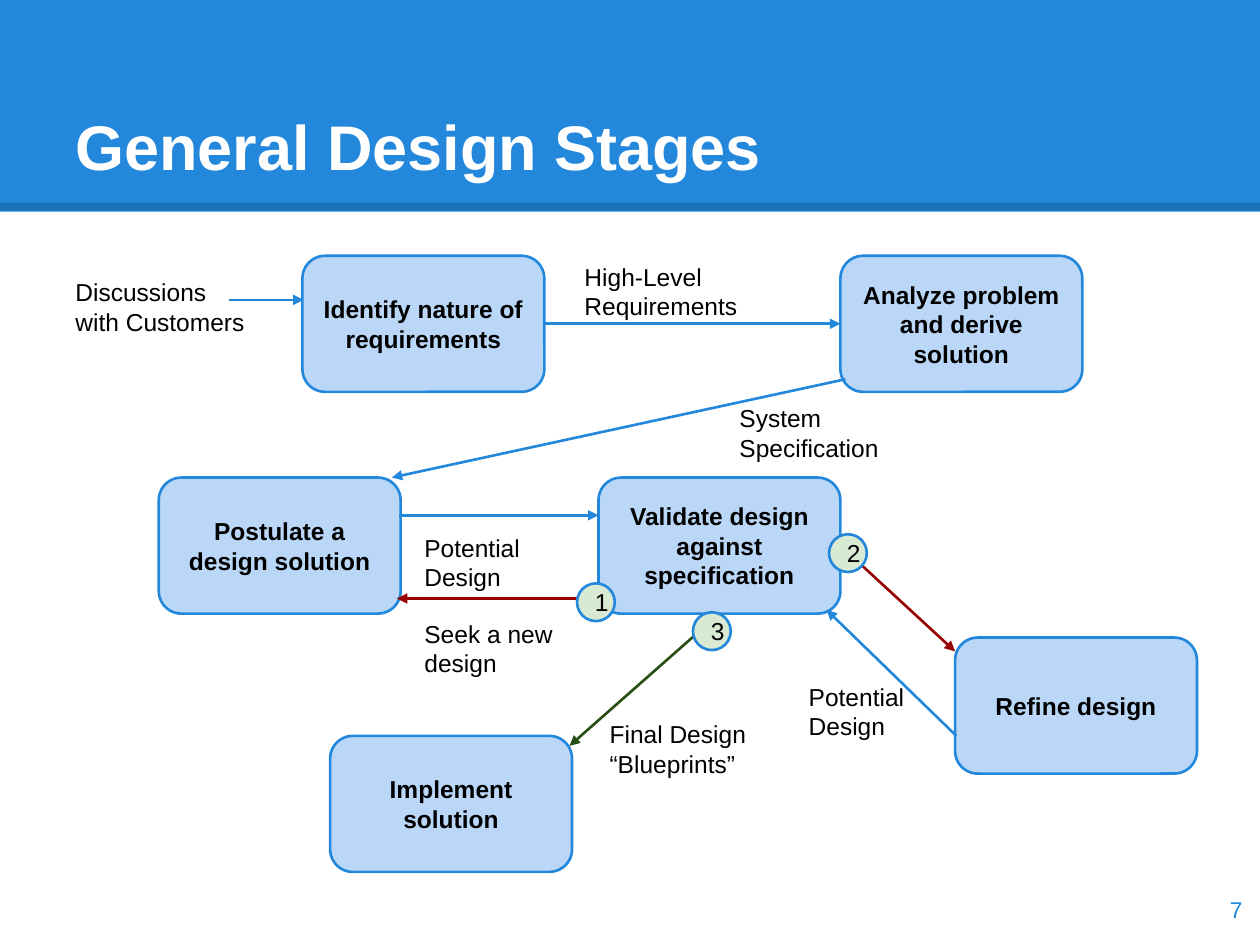
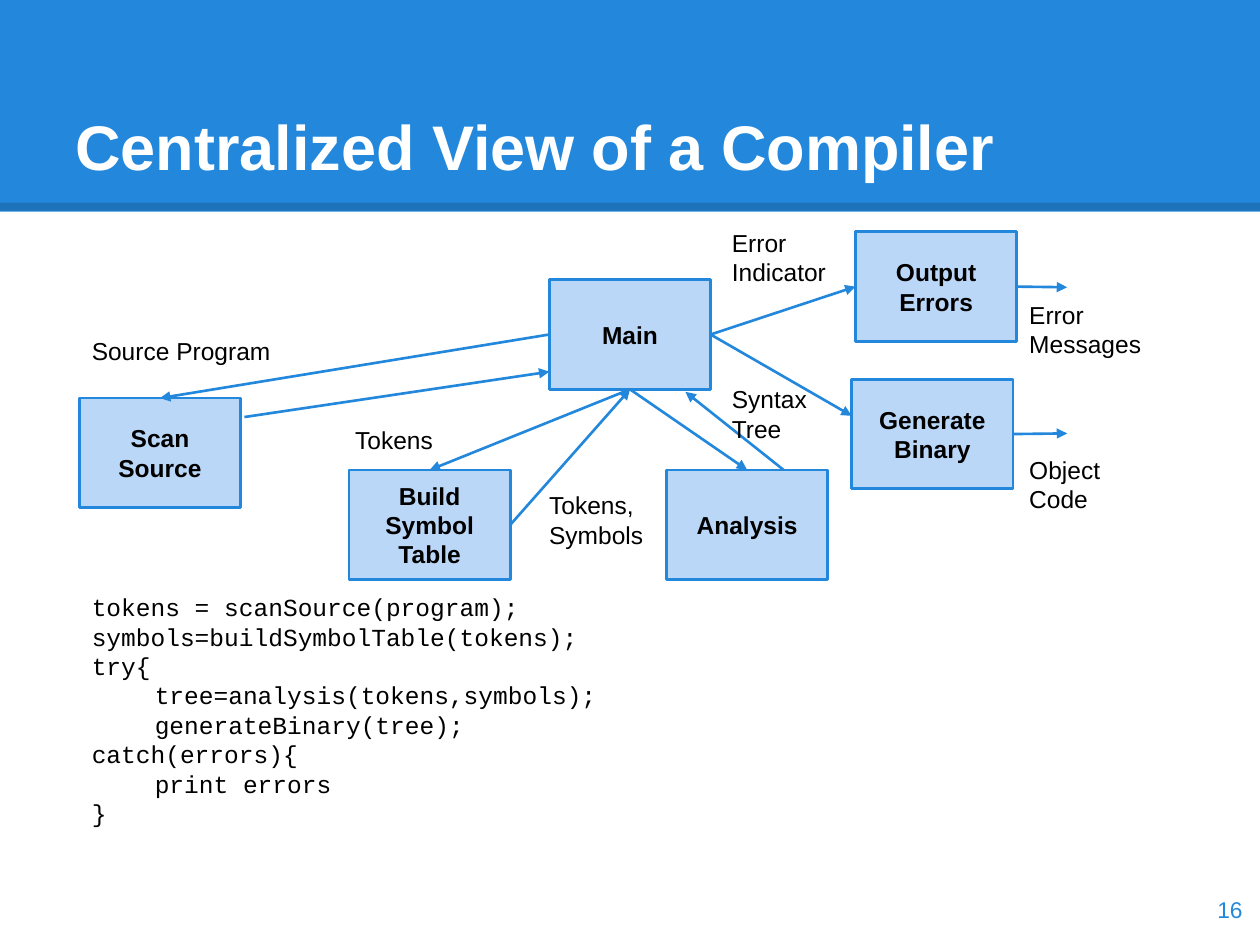
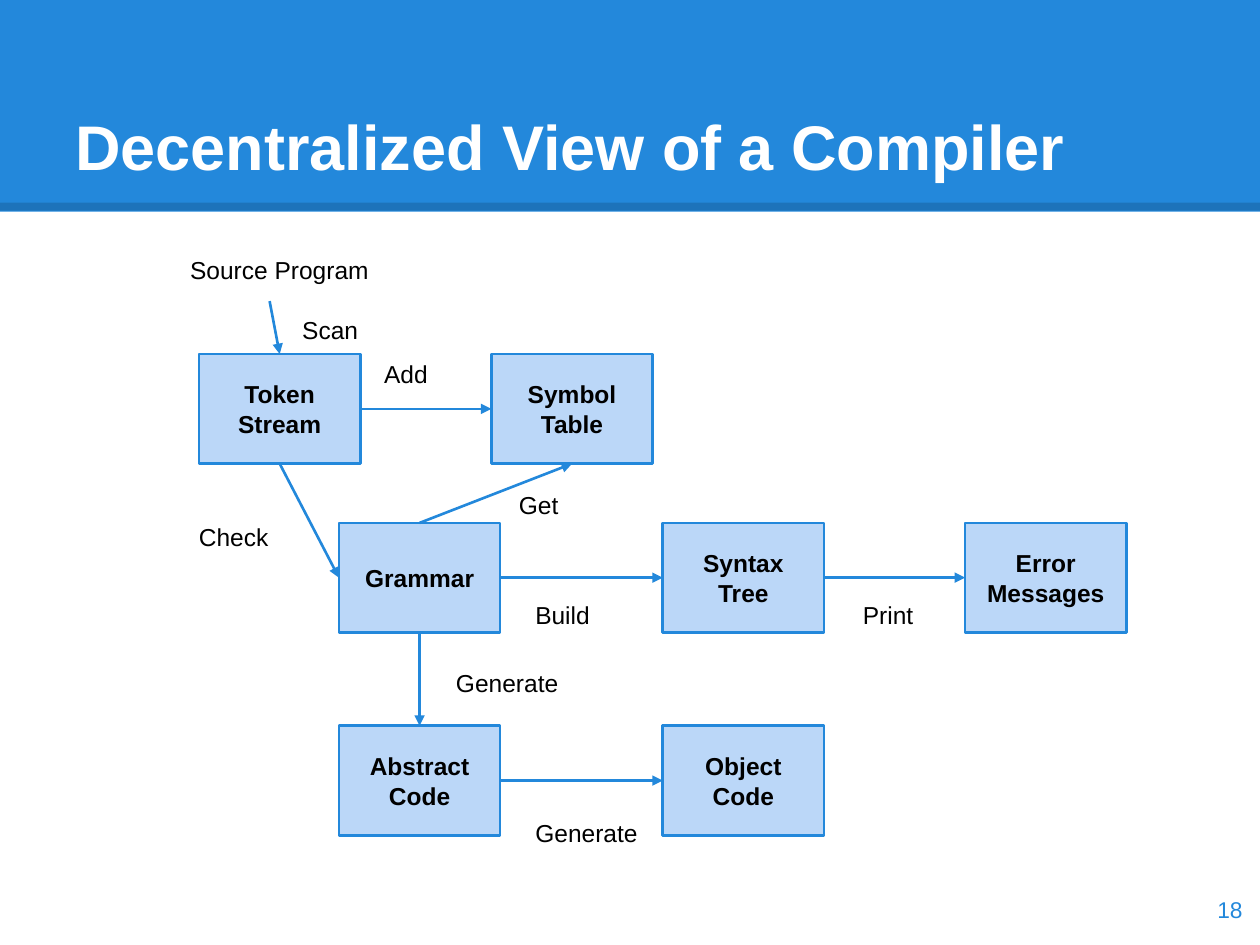
"""Build three slides of software design flow diagrams."""
from lxml import etree
from pptx import Presentation
from pptx.dml.color import RGBColor
from pptx.enum.shapes import MSO_CONNECTOR, MSO_SHAPE
from pptx.enum.text import MSO_ANCHOR, PP_ALIGN
from pptx.oxml.ns import qn
from pptx.util import Inches, Pt

RECT, ROUNDED, OVAL = MSO_SHAPE.RECTANGLE, MSO_SHAPE.ROUNDED_RECTANGLE, MSO_SHAPE.OVAL
STRAIGHT = MSO_CONNECTOR.STRAIGHT
TOP_ANCHOR, MIDDLE, BOTTOM_ANCHOR = MSO_ANCHOR.TOP, MSO_ANCHOR.MIDDLE, MSO_ANCHOR.BOTTOM
LEFT_ALIGN, CENTER, RIGHT_ALIGN = PP_ALIGN.LEFT, PP_ALIGN.CENTER, PP_ALIGN.RIGHT
TOP, LEFT, BOTTOM, RIGHT = range(4)
BLUE, PALE_BLUE, PALE_GREEN = "2388DB", "BBD7F8", "D9EAD3"
RED, GREEN, BLACK, WHITE = "980000", "274E13", "000000", "FFFFFF"


def write(text, shape, size=14, font="Arial", color=BLACK, bold=False,
          align=LEFT_ALIGN, anchor=TOP_ANCHOR):
    """Fill a shape with formatted text, one paragraph per line."""
    frame = shape.text_frame
    frame.word_wrap = True
    frame.vertical_anchor = anchor
    frame.margin_left = frame.margin_right = Inches(0.1)
    frame.margin_top = frame.margin_bottom = Inches(0.1)
    for number, line in enumerate(text.split("\n")):
        paragraph = frame.add_paragraph() if number else frame.paragraphs[0]
        paragraph.alignment = align
        run = paragraph.add_run()
        run.text = line
        run.font.name = font
        run.font.size = Pt(size)
        run.font.bold = bold
        run.font.color.rgb = RGBColor.from_string(color)


def add_filled(slide, preset, place, fill, outline=None):
    """Add a flat filled shape, with a thin outline if one is given."""
    shape = slide.shapes.add_shape(preset, *map(Inches, place))
    shape.shadow.inherit = False
    shape.fill.solid()
    shape.fill.fore_color.rgb = RGBColor.from_string(fill)
    if outline:
        shape.line.color.rgb = RGBColor.from_string(outline)
        shape.line.width = Pt(1.5)
    else:
        shape.line.fill.background()
    return shape


design_stages = {
    "title": "General Design Stages", "page": "7",
    "preset": ROUNDED, "size": (1.92, 1.08),
    "boxes": {
        "Identify nature of requirements": (2.4, 2.03),
        "Analyze problem and derive solution": (6.67, 2.03),
        "Postulate a design solution": (1.26, 3.79),
        "Validate design against specification": (4.75, 3.79),
        "Refine design": (7.58, 5.06),
        "Implement solution": (2.62, 5.84),
    },
    "arrows": [
        ((1.82, 2.38), (2.41, 2.38), BLUE),
        (("Identify nature of requirements", RIGHT),
         ("Analyze problem and derive solution", LEFT), BLUE),
        ((6.71, 3.01), (3.11, 3.79), BLUE),
        ((3.17, 4.09), (4.75, 4.09), BLUE),
        ((4.78, 4.75), (3.15, 4.75), RED),
        (("Validate design against specification", RIGHT), (7.58, 5.17), RED),
        ((7.59, 5.84), (6.56, 4.84), BLUE),
        (("Validate design against specification", BOTTOM), (4.52, 5.92), GREEN),
    ],
    "labels": [
        ("Discussions\nwith Customers", 0.5, 2.1, 1.55, 0.7),
        ("High-Level Requirements", 4.54, 1.98, 1.92, 0.4),
        ("System Specification", 5.77, 3.1, 1.92, 0.4),
        ("Potential Design", 3.27, 4.13, 1.37, 0.4),
        ("Seek a new design", 3.27, 4.81, 1.37, 0.4),
        ("Potential Design", 6.32, 5.31, 1.37, 0.4),
        ("Final Design “Blueprints”", 4.74, 5.61, 1.37, 0.4),
    ],
    "outcomes": {"1": (4.58, 4.63), "2": (6.58, 4.24), "3": (5.5, 4.86)},
}

centralized = {
    "title": "Centralized View of a Compiler", "page": "16",
    "preset": RECT, "size": (1.28, 0.87),
    "boxes": {
        "Scan Source": (0.63, 3.16),
        "Build Symbol Table": (2.77, 3.73),
        "Analysis": (5.29, 3.73),
        "Generate Binary": (6.76, 3.01),
        "Output Errors": (6.79, 1.84),
        "Main": (4.36, 2.22),
    },
    "arrows": [
        ((1.94, 3.31), (4.36, 2.95), BLUE),
        (("Main", LEFT), ("Scan Source", TOP), BLUE),
        (("Build Symbol Table", RIGHT), ("Main", BOTTOM), BLUE),
        ((6.22, 3.73), (5.44, 3.11), BLUE),
        (("Generate Binary", RIGHT), (8.47, 3.44), BLUE),
        (("Main", RIGHT), ("Output Errors", LEFT), BLUE),
        (("Main", RIGHT), (6.76, 3.3), BLUE),
        (("Main", BOTTOM), ("Build Symbol Table", TOP), BLUE),
        (("Main", BOTTOM), ("Analysis", TOP), BLUE),
        (("Output Errors", RIGHT), (8.47, 2.28), BLUE),
    ],
    "labels": [
        ("Source Program", 0.63, 2.57, 1.82, 0.42),
        ("Tokens", 2.72, 3.27, 0.87, 0.36),
        ("Tokens, Symbols", 4.26, 3.79, 1.03, 0.65),
        ("Syntax Tree", 5.71, 2.95, 0.95, 0.56),
        ("Object Code", 8.07, 3.51, 0.81, 0.56),
        ("Error Indicator", 5.71, 1.71, 1.08, 0.79),
        ("Error Messages", 8.07, 2.28, 1.22, 0.3),
    ],
    "code": """tokens = scanSource(program);
symbols=buildSymbolTable(tokens);
try{
\ttree=analysis(tokens,symbols);
\tgenerateBinary(tree);
catch(errors){
\tprint errors
}""",
}

decentralized = {
    "title": "Decentralized View of a Compiler", "page": "18",
    "preset": RECT, "size": (1.28, 0.87),
    "boxes": {
        "Token Stream": (1.58, 2.81),
        "Symbol Table": (3.9, 2.81),
        "Grammar": (2.69, 4.15),
        "Syntax Tree": (5.26, 4.15),
        "Error Messages": (7.66, 4.15),
        "Abstract Code": (2.69, 5.76),
        "Object Code": (5.26, 5.76),
    },
    "arrows": [
        ((2.14, 2.39), ("Token Stream", TOP), BLUE),
        (("Token Stream", RIGHT), ("Symbol Table", LEFT), BLUE),
        (("Token Stream", BOTTOM), ("Grammar", LEFT), BLUE),
        (("Grammar", TOP), ("Symbol Table", BOTTOM), BLUE),
        (("Grammar", RIGHT), ("Syntax Tree", LEFT), BLUE),
        (("Syntax Tree", RIGHT), ("Error Messages", LEFT), BLUE),
        (("Grammar", BOTTOM), ("Abstract Code", TOP), BLUE),
        (("Abstract Code", RIGHT), ("Object Code", LEFT), BLUE),
    ],
    "labels": [
        ("Source Program", 1.41, 1.92, 1.82, 0.42),
        ("Scan", 2.3, 2.4, 0.71, 0.2),
        ("Add", 2.95, 2.75, 0.87, 0.36),
        ("Get", 4.02, 3.79, 1.03, 0.42),
        ("Check", 1.48, 4.04, 1.08, 0.2),
        ("Build", 4.15, 4.66, 0.94, 0.36),
        ("Print", 6.75, 4.66, 0.71, 0.3),
        ("Generate", 3.52, 5.2, 1.08, 0.36),
        ("Generate", 4.15, 6.39, 1.08, 0.2),
    ],
}

deck = Presentation()
deck.slide_width, deck.slide_height = Inches(10), Inches(7.5)

for diagram in (design_stages, centralized, decentralized):
    slide = deck.slides.add_slide(deck.slide_layouts[6])
    shapes = slide.shapes

    add_filled(slide, RECT, (0, 0, 10, 1.68), BLUE)
    band_edge = shapes.add_connector(STRAIGHT, 0, Inches(1.64), Inches(10), Inches(1.64))
    band_edge.line.width = Pt(4.5)
    band_edge.line.color.rgb = RGBColor.from_string(BLACK)
    edge_color = band_edge.line._get_or_add_ln().find(".//" + qn("a:srgbClr"))
    etree.SubElement(edge_color, qn("a:alpha"), val="15000")
    etree.SubElement(band_edge._element.spPr, qn("a:effectLst"))
    title = shapes.add_textbox(*map(Inches, (0.5, 0.3, 9, 1.25)))
    write(diagram["title"], title, size=36, color=WHITE, bold=True, anchor=BOTTOM_ANCHOR)

    boxes = {}
    for name, corner in diagram["boxes"].items():
        boxes[name] = add_filled(slide, diagram["preset"], corner + diagram["size"],
                                 PALE_BLUE, BLUE)
        write(name, boxes[name], bold=True, align=CENTER, anchor=MIDDLE)

    for start, end, color in diagram["arrows"]:
        points = [(0, 0) if point[0] in boxes else point for point in (start, end)]
        arrow = shapes.add_connector(STRAIGHT, *map(Inches, points[0] + points[1]))
        if start[0] in boxes:
            arrow.begin_connect(boxes[start[0]], start[1])
        if end[0] in boxes:
            arrow.end_connect(boxes[end[0]], end[1])
        arrow.line.width = Pt(1.5)
        arrow.line.color.rgb = RGBColor.from_string(color)
        etree.SubElement(arrow.line._get_or_add_ln(), qn("a:tailEnd"), type="triangle")
        etree.SubElement(arrow._element.spPr, qn("a:effectLst"))

    for text, *place in diagram["labels"]:
        write(text, shapes.add_textbox(*map(Inches, place)))

    for number, corner in diagram.get("outcomes", {}).items():
        outcome = add_filled(slide, OVAL, corner + (0.3, 0.3), PALE_GREEN, BLUE)
        write(number, outcome, anchor=MIDDLE)

    if "code" in diagram:
        code = shapes.add_textbox(*map(Inches, (0.63, 4.6, 4.59, 2.63)))
        write(diagram["code"], code, font="Courier New")

    page = shapes.add_textbox(*map(Inches, (9.36, 6.93, 0.6, 0.57)))
    write(diagram["page"], page, size=13, color=BLUE, align=RIGHT_ALIGN, anchor=MIDDLE)

deck.save("out.pptx")
